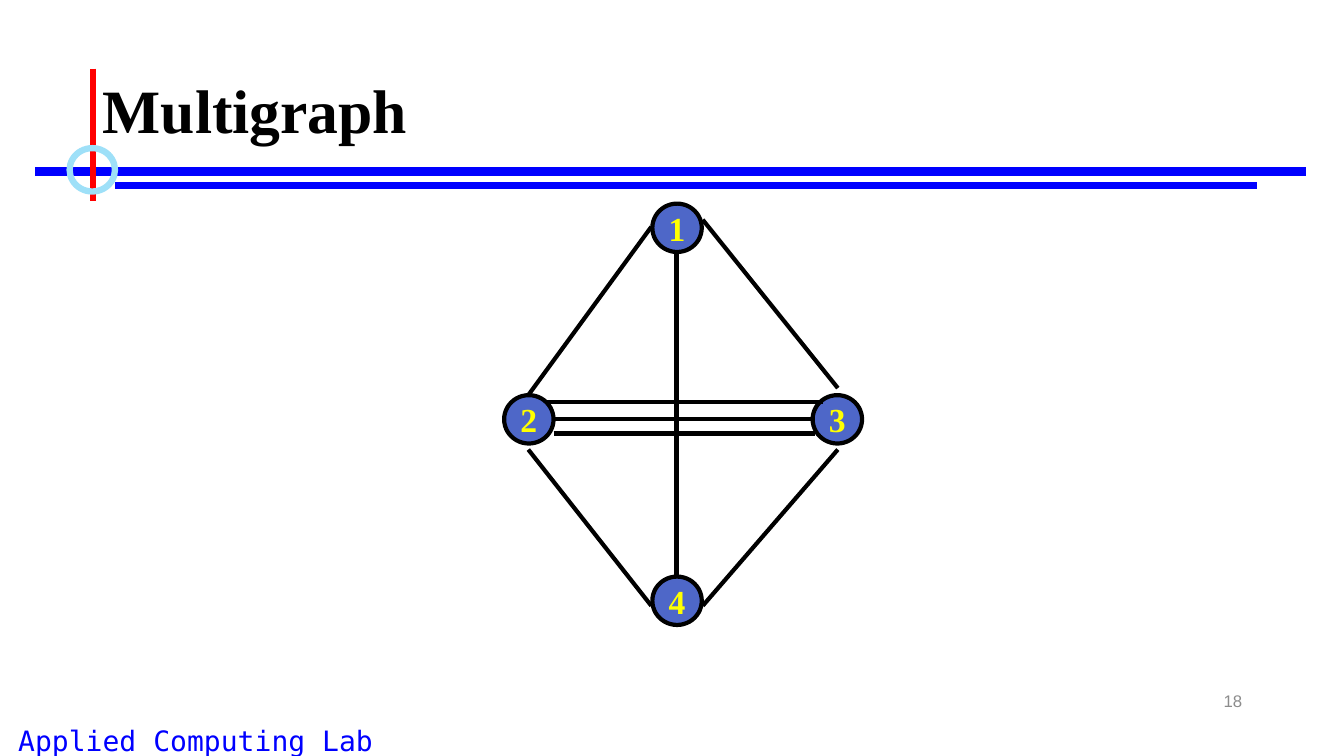
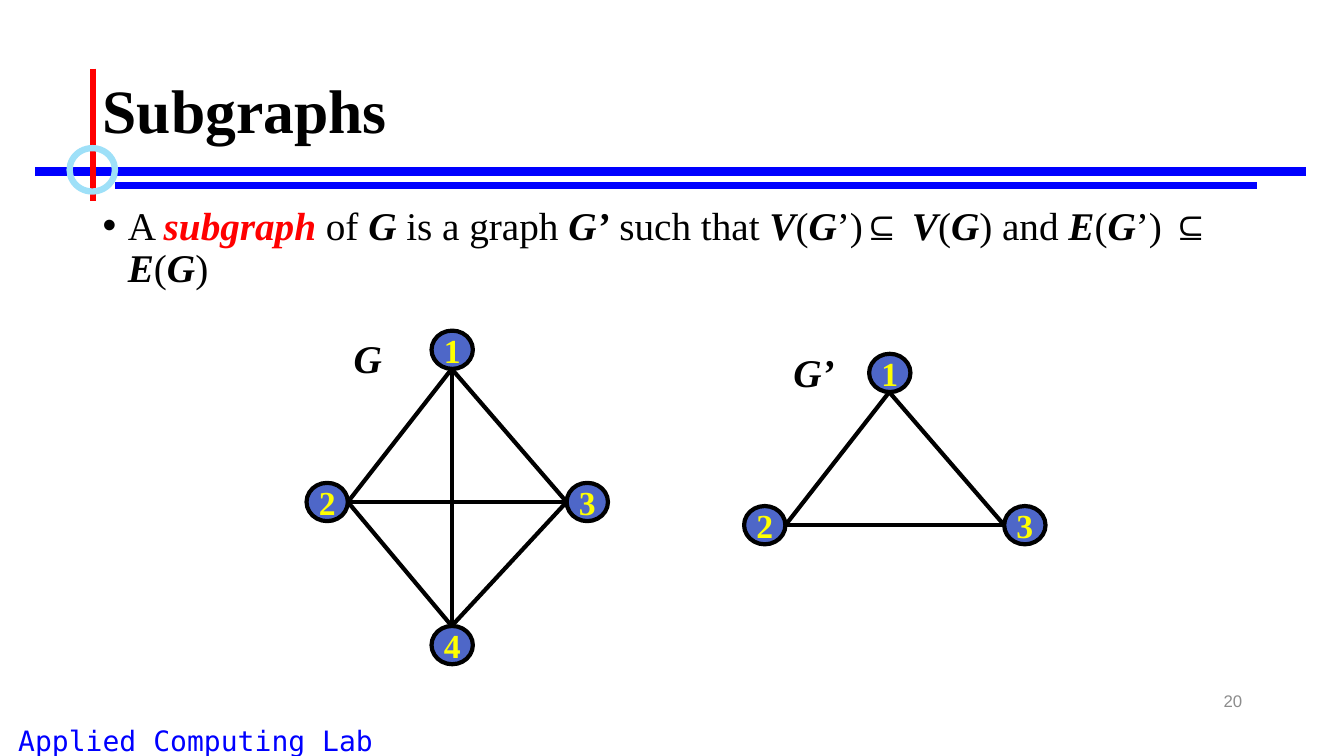
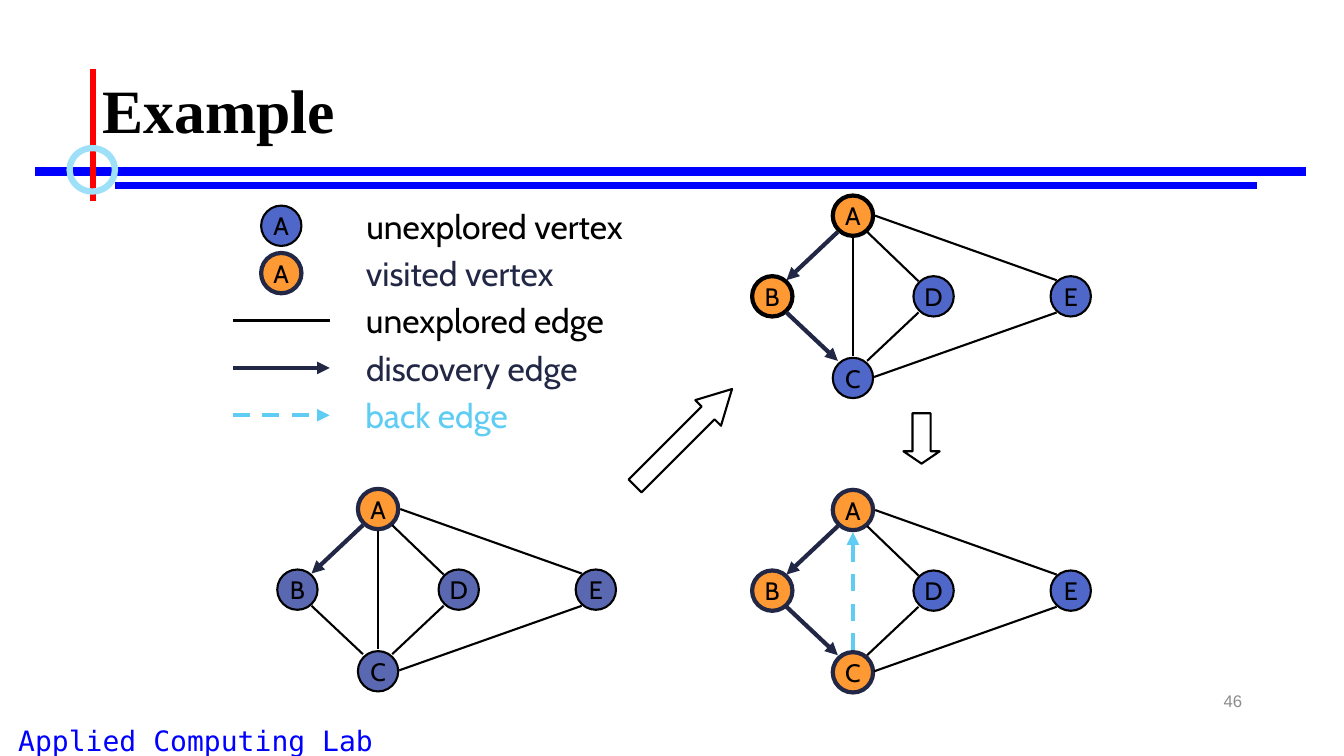
from itertools import combinations

from lxml import etree
from pptx import Presentation
from pptx.dml.color import RGBColor
from pptx.enum.dml import MSO_LINE
from pptx.enum.shapes import MSO_CONNECTOR, MSO_SHAPE
from pptx.enum.text import MSO_ANCHOR, PP_ALIGN
from pptx.oxml.ns import qn
from pptx.util import Emu, Inches, Pt

PX = 9144  # 100 px to the inch

BLACK = RGBColor(0x00, 0x00, 0x00)
BLUE = RGBColor(0x00, 0x00, 0xFF)
RED = RGBColor(0xFF, 0x00, 0x00)
YELLOW = RGBColor(0xFF, 0xFF, 0x00)
PALE_BLUE = RGBColor(0x9E, 0xE0, 0xF8)
GRAY = RGBColor(0x8C, 0x8C, 0x8C)
INDIGO = RGBColor(0x4E, 0x67, 0xC8)
DULL_INDIGO = RGBColor(0x59, 0x68, 0xB0)
ORANGE = RGBColor(0xFF, 0x99, 0x33)
NAVY = RGBColor(0x21, 0x27, 0x45)
SKY = RGBColor(0x5E, 0xCC, 0xF3)

SERIF = "Times New Roman"
SANS = "Arial"
MONO = "DejaVu Sans Mono"
CABIN = "Cabin"

THIN = 1.5
THICK = 3

SUBGRAPH_DEFINITION = (
    "A *subgraph *of *G* is a graph *G’* such that *V*(*G*’)⊆ "
    "*V*(*G*) and *E*(*G*’) ⊆ *E*(*G*)"
)

# Search graph, relative to its top left corner
SEARCH_VERTICES = {"A": (80, 0), "B": (0, 80), "C": (80, 161),
                   "D": (160, 80), "E": (296, 80)}
SEARCH_EDGES = {
    "AB": ((85, 36), (34, 84)),
    "BC": ((34, 116), (85, 164)),
    "CD": ((114, 164), (165, 116)),
    "AD": ((114, 36), (165, 85)),
    "CA": ((100, 159), (100, 42)),
    "CE": ((121, 180), (302, 116)),
    "AE": ((122, 20), (302, 84)),
}


def px(*lengths):
    return [Emu(length * PX) for length in lengths]


def style_font(font, name, size, color, bold=False, italic=False):
    font.name = name
    font.size = Pt(size)
    font.color.rgb = color
    font.bold = bold
    font.italic = italic


def add_text(slide, box, text, name, size, color, align=PP_ALIGN.LEFT,
             anchor=MSO_ANCHOR.TOP, wrap=True, bold=False, italic=False):
    shape = slide.shapes.add_textbox(*px(*box))
    frame = shape.text_frame
    frame.word_wrap = wrap
    frame.vertical_anchor = anchor
    frame.text = text
    paragraph = frame.paragraphs[0]
    paragraph.alignment = align
    style_font(paragraph.runs[0].font, name, size, color, bold, italic)
    return paragraph


def add_line(slide, start, end, color=BLACK, width=THICK, arrow=False,
             dashed=False):
    connector = slide.shapes.add_connector(
        MSO_CONNECTOR.STRAIGHT, *px(*start, *end))
    connector.line.color.rgb = color
    connector.line.width = Pt(width)
    if dashed:
        connector.line.dash_style = MSO_LINE.DASH
    properties = connector._element.spPr
    if arrow:
        outline = properties.find(qn("a:ln"))
        etree.SubElement(outline, qn("a:tailEnd"), type="triangle")
    etree.SubElement(properties, qn("a:effectLst"))


def add_outline(slide, kind, box, color, width):
    """Adds a preset shape with an outline and no fill."""
    shape = slide.shapes.add_shape(kind, *px(*box))
    shape.shadow.inherit = False
    shape.fill.background()
    shape.line.color.rgb = color
    shape.line.width = Pt(width)
    return shape


def add_vertex(slide, box, label, fill, outline, width, font):
    shape = add_outline(slide, MSO_SHAPE.OVAL, box, outline, width)
    shape.fill.solid()
    shape.fill.fore_color.rgb = fill
    frame = shape.text_frame
    frame.margin_left = frame.margin_right = 0
    frame.margin_top = frame.margin_bottom = 0
    frame.word_wrap = False
    frame.vertical_anchor = MSO_ANCHOR.MIDDLE
    frame.text = label
    paragraph = frame.paragraphs[0]
    paragraph.alignment = PP_ALIGN.CENTER
    style_font(paragraph.runs[0].font, *font)


def add_numbered_vertex(slide, box, label):
    add_vertex(slide, box, label, INDIGO, BLACK, THICK,
               (SERIF, 24, YELLOW, True))


def add_search_vertex(slide, left, top, label, visited, fill=INDIGO,
                      visited_outline=NAVY):
    if visited:
        look = ORANGE, visited_outline, THICK
    else:
        look = fill, BLACK, THIN
    add_vertex(slide, (left, top, 40, 40), label, *look, (CABIN, 18, BLACK))


def add_framed_slide(presentation, title, number):
    """Adds a slide with the footer, rules, title and slide number."""
    slide = presentation.slides.add_slide(presentation.slide_layouts[6])
    add_text(slide, (-58, 713, 504, 43), "Applied Computing Lab", MONO, 20,
             BLUE, PP_ALIGN.CENTER)
    add_line(slide, (35, 170), (1295, 170), BLUE, 6)
    add_line(slide, (114, 184), (1247, 184), BLUE, 4.5)
    add_line(slide, (92, 68), (92, 199), RED, 4.5)
    add_outline(slide, MSO_SHAPE.OVAL, (69, 147, 45, 43), PALE_BLUE, 4.5)
    heading = add_text(slide, (92, 40, 1150, 145), title, SERIF, 44, BLACK,
                       anchor=MSO_ANCHOR.MIDDLE, bold=True)
    heading.line_spacing = 0.9
    add_text(slide, (942, 675, 300, 40), str(number), SANS, 12, GRAY,
             PP_ALIGN.RIGHT, MSO_ANCHOR.MIDDLE)
    return slide


def draw_multigraph(slide, left, top):
    vertices = {"1": (147, 0), "2": (0, 190), "3": (306, 190),
                "4": (147, 370)}
    edges = [
        ((171, 47), (171, 370)),
        ((49, 214), (306, 214)),
        ((146, 23), (24, 190)),
        ((24, 244), (146, 399)),
        ((197, 399), (331, 244)),
        ((331, 183), (197, 16)),
        ((49, 228), (308, 228)),
        ((41, 197), (316, 197)),
    ]
    for label, (x, y) in vertices.items():
        add_numbered_vertex(slide, (left + x, top + y, 49, 48), label)
    for (x1, y1), (x2, y2) in edges:
        add_line(slide, (left + x1, top + y1), (left + x2, top + y2))


def draw_complete_graph(slide, left, top, labels, name, name_box):
    """Joins every pair of the labelled vertices and names the graph."""
    vertices = {"1": (124, 0), "2": (0, 151), "3": (258, 151),
                "4": (124, 293)}
    ports = {"1": (20, 38), "2": (41, 19), "3": (0, 19), "4": (20, 0)}
    ends = {}
    for label in labels:
        x, y = left + vertices[label][0], top + vertices[label][1]
        add_numbered_vertex(slide, (x, y, 41, 38), label)
        ends[label] = x + ports[label][0], y + ports[label][1]
    for first, second in combinations(labels, 2):
        add_line(slide, ends[first], ends[second])
    x, y, width, height = name_box
    add_text(slide, (left + x, top + y, width, height), name, SERIF, 28,
             BLACK, wrap=False, bold=True, italic=True)


def add_definition(slide, box, marked_text):
    """Adds a bullet; stars enclose bold italics, the first being the term."""
    shape = slide.shapes.add_textbox(*px(*box))
    frame = shape.text_frame
    frame.word_wrap = True
    paragraph = frame.paragraphs[0]
    paragraph.line_spacing = 0.9
    properties = paragraph._p.get_or_add_pPr()
    properties.set("marL", str(Inches(0.25)))
    properties.set("indent", str(-Inches(0.25)))
    etree.SubElement(properties, qn("a:buFont"), typeface=SANS)
    etree.SubElement(properties, qn("a:buChar"), char="•")
    for index, piece in enumerate(marked_text.split("*")):
        run = paragraph.add_run()
        run.text = piece
        emphasis = index % 2 == 1
        style_font(run.font, SERIF, 28, RED if index == 1 else BLACK,
                   emphasis, emphasis)


def draw_search_graph(slide, left, top, visited, discovered, back=(),
                      fill=INDIGO, visited_outline=NAVY):
    for label, (x, y) in SEARCH_VERTICES.items():
        add_search_vertex(slide, left + x, top + y, label, label in visited,
                          fill, visited_outline)
    for edge, ((x1, y1), (x2, y2)) in SEARCH_EDGES.items():
        ends = (left + x1, top + y1), (left + x2, top + y2)
        if edge in discovered:
            add_line(slide, *ends, NAVY, THICK, arrow=True)
        elif edge in back:
            add_line(slide, *ends, SKY, THICK, arrow=True, dashed=True)
        else:
            add_line(slide, *ends, BLACK, THIN)


def draw_legend(slide, left, top, pitch=47):
    entries = [
        ("unexplored vertex", 285, BLACK),
        ("visited vertex", 216, NAVY),
        ("unexplored edge", 266, BLACK),
        ("discovery edge", 240, NAVY),
        ("back edge", 170, SKY),
    ]
    for row, (text, width, color) in enumerate(entries):
        y = top + row * pitch
        add_text(slide, (left + 117, y, width, 50), text, CABIN, 24, color,
                 PP_ALIGN.CENTER, wrap=False)
        if text.endswith("vertex"):
            add_search_vertex(slide, left + 28, y + 5, "A",
                              text.startswith("visited"))
        else:
            plain = text.startswith("unexplored")
            add_line(slide, (left, y + 25), (left + 96, y + 25), color,
                     THIN if plain else THICK, arrow=not plain,
                     dashed=text.startswith("back"))


def add_step_arrow(slide, box, rotation, head):
    shape = add_outline(slide, MSO_SHAPE.RIGHT_ARROW, box, BLACK, THIN)
    shape.adjustments[0] = 0.5
    shape.adjustments[1] = head
    shape.rotation = rotation


def build_multigraph(presentation):
    slide = add_framed_slide(presentation, "Multigraph", 18)
    draw_multigraph(slide, 500, 202)


def build_subgraphs(presentation):
    slide = add_framed_slide(presentation, "Subgraphs", 20)
    add_definition(slide, (92, 200, 1170, 476), SUBGRAPH_DEFINITION)
    draw_complete_graph(slide, 304, 328, "1234", "G", (37, -1, 49, 57))
    draw_complete_graph(slide, 738, 351, "123", "G’", (39, -10, 64, 57))


def build_example(presentation):
    slide = add_framed_slide(presentation, "Example", 46)
    draw_search_graph(slide, 275, 485, "A", ["AB"], fill=DULL_INDIGO)
    draw_search_graph(slide, 746, 194, "AB", ["AB", "BC"],
                      visited_outline=BLACK)
    draw_search_graph(slide, 746, 486, "ABC", ["AB", "BC"], ["CA"])
    draw_legend(slide, 231, 199)
    add_step_arrow(slide, (889, 417, 50, 36), 90, 0.34)
    add_step_arrow(slide, (610, 416, 136, 36), 315, 0.93)


def main():
    presentation = Presentation()
    presentation.slide_width, presentation.slide_height = px(1333, 750)
    build_multigraph(presentation)
    build_subgraphs(presentation)
    build_example(presentation)
    presentation.save("out.pptx")


if __name__ == "__main__":
    main()
